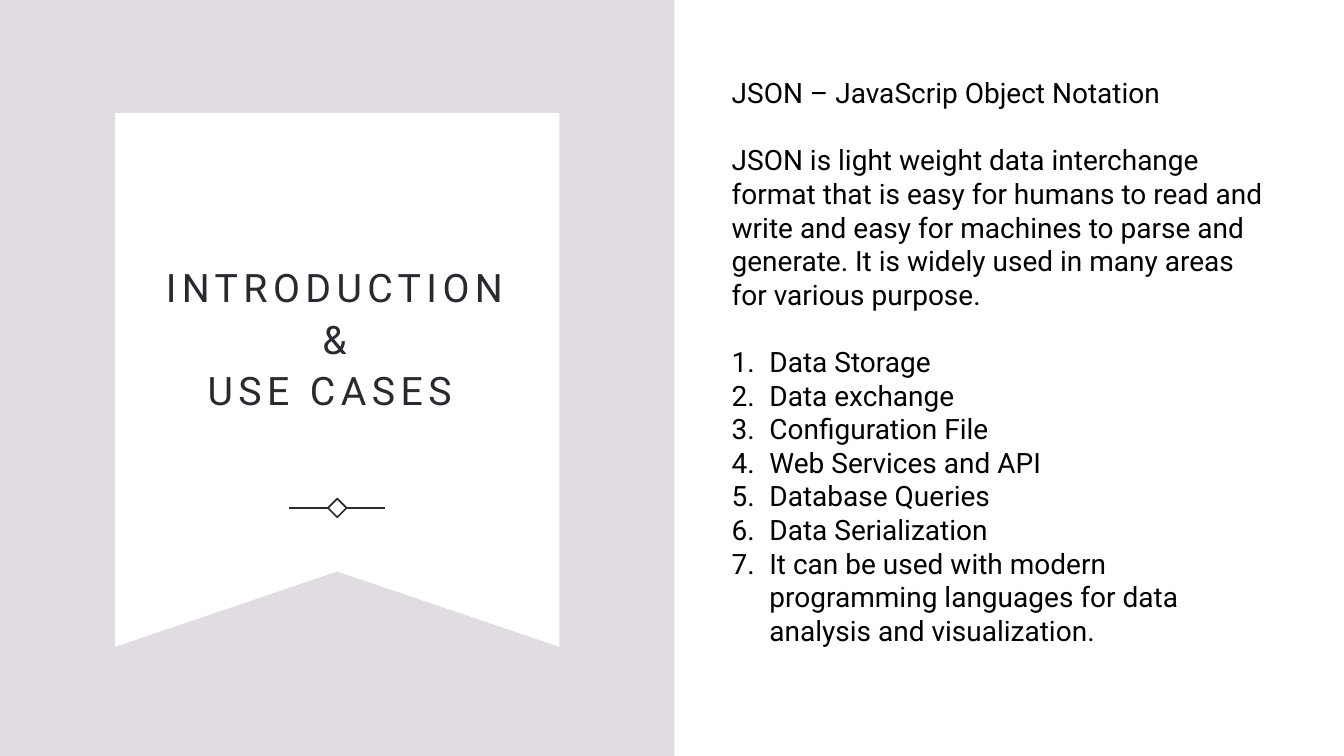
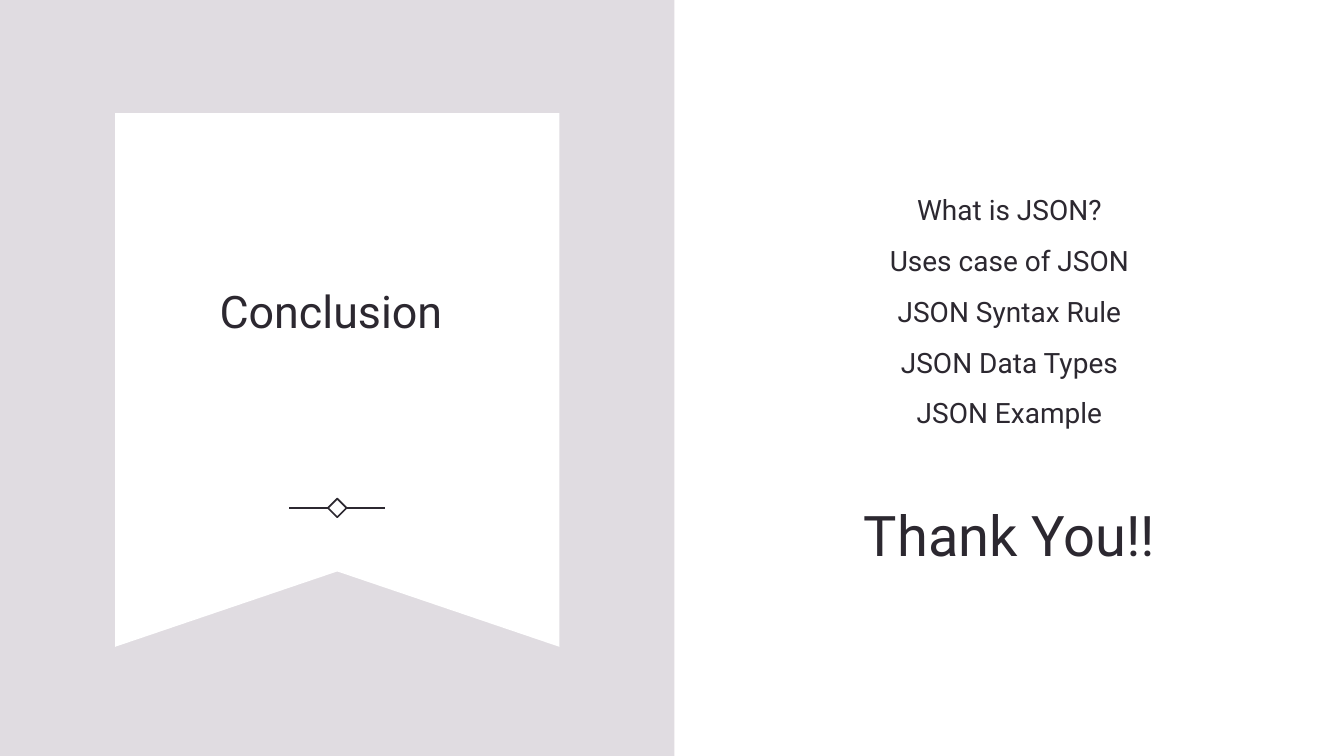
import dataclasses

import lxml.etree
import pptx
import pptx.dml.color
import pptx.enum.shapes
import pptx.enum.text
import pptx.oxml.ns
import pptx.presentation
import pptx.shapes.base
import pptx.slide
import pptx.text.text
import pptx.util

Cm = pptx.util.Cm
Pt = pptx.util.Pt
Align = pptx.enum.text.PP_ALIGN
Anchor = pptx.enum.text.MSO_ANCHOR
Preset = pptx.enum.shapes.MSO_SHAPE

FONT = "Roboto"
WHITE = "FFFFFF"
BLACK = "000000"
LILAC = "E0DCE1"
INK = "2C2830"

PAGE_WIDTH, PAGE_HEIGHT = 33.87, 19.05
PANEL_WIDTH = 17
BANNER_LEFT, BANNER_TOP, BANNER_RIGHT, BANNER_BOTTOM = 2.9, 2.85, 14.1, 16.3
NOTCH_TOP = 14.4
ORNAMENT_X, ORNAMENT_Y = 8.5, 12.8
DIAMOND_SIZE = 0.47
RULE_INNER, RULE_OUTER = 0.22, 1.21
LIST_INDENT = 0.95


@dataclasses.dataclass(frozen=True)
class Area:
    left: float
    top: float
    width: float
    height: float


@dataclasses.dataclass(frozen=True)
class Line:
    text: str
    size: float = 20
    before: float = 0
    tracking: float = 0
    numbered: bool = False


@dataclasses.dataclass(frozen=True)
class TextStyle:
    color: str = INK
    align: Align = Align.CENTER
    anchor: Anchor = Anchor.MIDDLE
    line_spacing: float = 1.1


CENTERED = TextStyle()
READING = TextStyle(BLACK, Align.LEFT, Anchor.TOP, 1.0)

USES = (
    "Data Storage",
    "Data exchange",
    "Configuration File",
    "Web Services and API",
    "Database Queries",
    "Data Serialization",
    "It can be used with modern programming languages for data analysis and visualization.",
)
TOPICS = (
    "What is JSON?",
    "Uses case of JSON",
    "JSON Syntax Rule",
    "JSON Data Types",
    "JSON Example",
)


def rgb(color: str) -> pptx.dml.color.RGBColor:
    return pptx.dml.color.RGBColor.from_string(color)


def fill_shape(shape: pptx.shapes.base.BaseShape, color: str) -> None:
    shape.shadow.inherit = False
    shape.fill.solid()
    shape.fill.fore_color.rgb = rgb(color)
    shape.line.fill.background()


def outline(shape: pptx.shapes.base.BaseShape) -> None:
    shape.line.color.rgb = rgb(INK)
    shape.line.width = Pt(1.25)


def number_paragraph(para: pptx.text.text._Paragraph) -> None:
    properties = para._p.get_or_add_pPr()
    properties.set("marL", str(Cm(LIST_INDENT)))
    properties.set("indent", str(-Cm(LIST_INDENT)))
    lxml.etree.SubElement(
        properties, pptx.oxml.ns.qn("a:buAutoNum"), type="arabicPeriod"
    )


def add_text(
    page: pptx.slide.Slide, area: Area, lines: list[Line], style: TextStyle
) -> None:
    box = page.shapes.add_textbox(*map(Cm, dataclasses.astuple(area)))
    frame = box.text_frame
    frame.word_wrap = True
    frame.vertical_anchor = style.anchor
    frame.text = "\n".join(line.text for line in lines)
    for para, line in zip(frame.paragraphs, lines):
        para.alignment = style.align
        para.line_spacing = style.line_spacing
        para.space_before = Pt(line.before)
        if line.numbered:
            number_paragraph(para)
        for span in para.runs:
            span.font.name = FONT
            span.font.size = Pt(line.size)
            span.font.color.rgb = rgb(style.color)
            if line.tracking:
                span._r.get_or_add_rPr().set("spc", str(round(line.tracking * 100)))


def add_banner(page: pptx.slide.Slide) -> None:
    middle = (BANNER_LEFT + BANNER_RIGHT) / 2
    corners = [
        (BANNER_RIGHT, BANNER_TOP),
        (BANNER_RIGHT, BANNER_BOTTOM),
        (middle, NOTCH_TOP),
        (BANNER_LEFT, BANNER_BOTTOM),
    ]
    builder = page.shapes.build_freeform(Cm(BANNER_LEFT), Cm(BANNER_TOP))
    builder.add_line_segments([(Cm(x), Cm(y)) for x, y in corners], close=True)
    fill_shape(builder.convert_to_shape(), WHITE)


def add_ornament(page: pptx.slide.Slide) -> None:
    half = DIAMOND_SIZE / 2
    diamond = page.shapes.add_shape(
        Preset.DIAMOND,
        Cm(ORNAMENT_X - half),
        Cm(ORNAMENT_Y - half),
        Cm(DIAMOND_SIZE),
        Cm(DIAMOND_SIZE),
    )
    diamond.shadow.inherit = False
    diamond.fill.background()
    outline(diamond)
    for side in (-1, 1):
        rule = page.shapes.add_connector(
            pptx.enum.shapes.MSO_CONNECTOR.STRAIGHT,
            Cm(ORNAMENT_X + side * RULE_INNER),
            Cm(ORNAMENT_Y),
            Cm(ORNAMENT_X + side * RULE_OUTER),
            Cm(ORNAMENT_Y),
        )
        outline(rule)
        lxml.etree.SubElement(
            rule._element.spPr, pptx.oxml.ns.qn("a:effectLst")
        )


def add_page(
    deck: pptx.presentation.Presentation, title: Line, title_area: Area
) -> pptx.slide.Slide:
    page = deck.slides.add_slide(deck.slide_layouts[6])
    page.background.fill.solid()
    page.background.fill.fore_color.rgb = rgb(WHITE)
    panel = page.shapes.add_shape(
        Preset.RECTANGLE, 0, 0, Cm(PANEL_WIDTH), Cm(PAGE_HEIGHT)
    )
    fill_shape(panel, LILAC)
    add_banner(page)
    add_ornament(page)
    add_text(page, title_area, [title], CENTERED)
    return page


def add_introduction(deck: pptx.presentation.Presentation) -> None:
    title = Line("INTRODUCTION\v&\vUSE CASES ", size=28, tracking=3.9)
    page = add_page(deck, title, Area(2.9, 5.18, 11.2, 6.58))
    lines = [
        Line("JSON – JavaScrip Object Notation"),
        Line(
            "JSON is light weight data interchange format that is easy for humans "
            "to read and write and easy for machines to parse and generate. "
            "It is widely used in many areas for various purpose.",
            before=24,
        ),
    ]
    lines += [
        Line(use, before=0 if index else 24, numbered=True)
        for index, use in enumerate(USES)
    ]
    add_text(page, Area(18.19, 1.78, 14.15, 13.08), lines, READING)


def add_conclusion(deck: pptx.presentation.Presentation) -> None:
    title = Line("Conclusion ", size=32)
    page = add_page(deck, title, Area(3.81, 3.76, 9.35, 7.98))
    lines = [Line(topic, before=10) for topic in TOPICS]
    lines.append(Line("Thank You!!", size=40, before=46))
    add_text(page, Area(19.46, 2.41, 11.96, 14.25), lines, CENTERED)


def main() -> None:
    deck = pptx.Presentation()
    deck.slide_width = Cm(PAGE_WIDTH)
    deck.slide_height = Cm(PAGE_HEIGHT)
    add_introduction(deck)
    add_conclusion(deck)
    deck.save("out.pptx")


if __name__ == "__main__":
    main()
